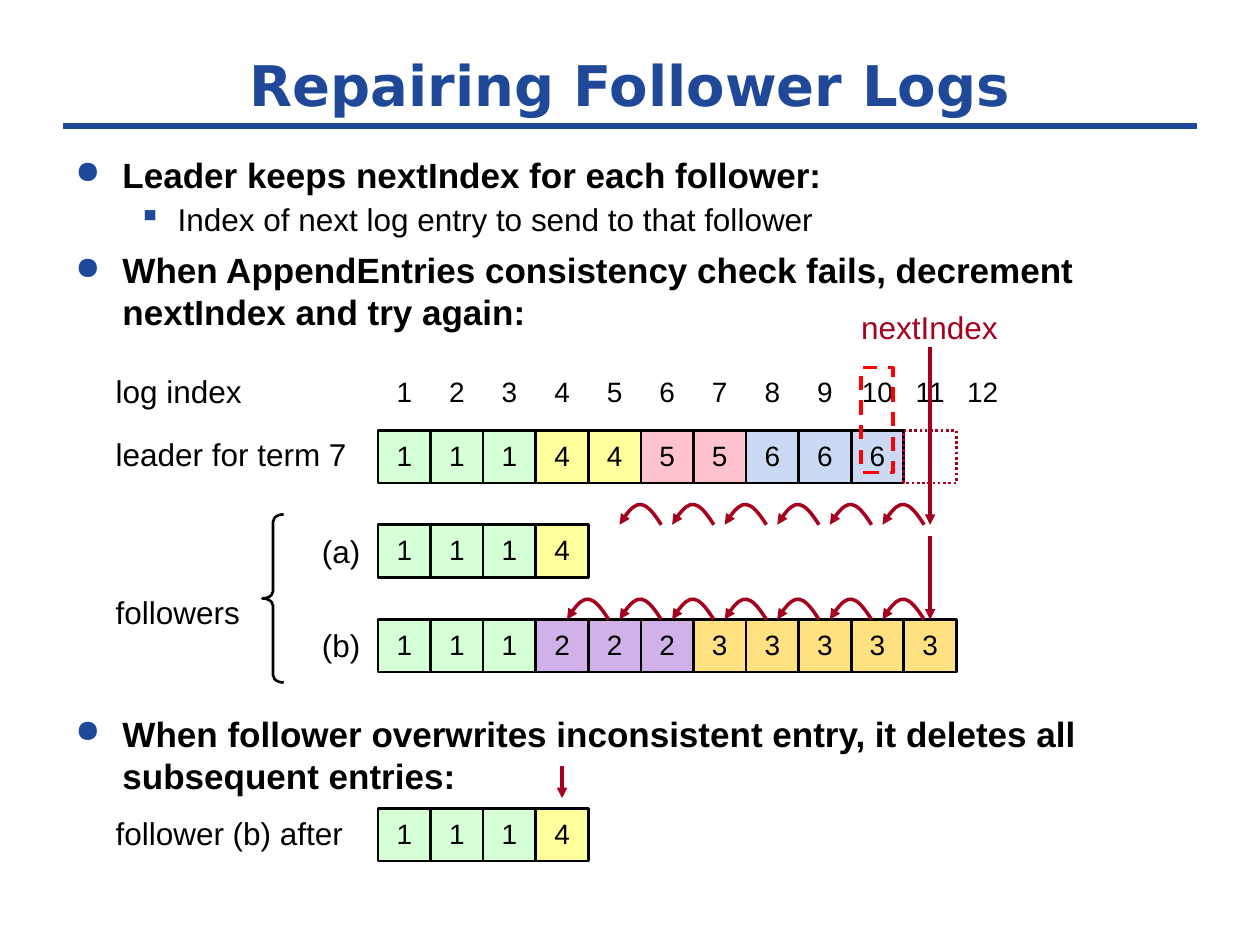
from dataclasses import dataclass

from lxml.etree import SubElement
from pptx import Presentation
from pptx.dml.color import RGBColor
from pptx.enum.dml import MSO_LINE
from pptx.enum.shapes import MSO_CONNECTOR, MSO_SHAPE
from pptx.enum.text import MSO_ANCHOR, PP_ALIGN
from pptx.oxml.ns import qn
from pptx.util import Cm, Pt

BLACK = RGBColor(0x00, 0x00, 0x00)
BLUE = RGBColor(0x1F, 0x48, 0x99)
CRIMSON = RGBColor(0xA5, 0x00, 0x1E)
RED = RGBColor(0xFF, 0x00, 0x00)
TERM_COLORS = {
    1: RGBColor(0xD5, 0xFF, 0xD5),
    2: RGBColor(0xD1, 0xB2, 0xE8),
    3: RGBColor(0xFF, 0xE1, 0x81),
    4: RGBColor(0xFF, 0xFF, 0x9B),
    5: RGBColor(0xFF, 0xC3, 0xCE),
    6: RGBColor(0xCC, 0xD9, 0xF4),
}

# Log grid, in centimetres
GRID_LEFT = 7.62
CELL = 1.06
LABEL_LEFT = 2.33
LEADER_TOP, FOLLOWER_A_TOP, FOLLOWER_B_TOP, AFTER_TOP = 8.68, 10.58, 12.49, 16.3
NEXT_CELL = 10


@dataclass
class Log:
    top: float
    terms: list[int]


@dataclass
class Label:
    text: str
    left: float
    top: float
    width: float
    color: RGBColor = BLACK
    align: PP_ALIGN = PP_ALIGN.LEFT
    line_spacing: Pt | None = Pt(19)
    wrap: bool = True


@dataclass
class Bullet:
    text: str
    level: int = 0
    space_before: float = 6


@dataclass
class BulletStyle:
    character: str
    percent: int
    margin: float
    hanging: float
    size: float
    bold: bool


LOGS = [
    Log(LEADER_TOP, [1, 1, 1, 4, 4, 5, 5, 6, 6, 6]),
    Log(FOLLOWER_A_TOP, [1, 1, 1, 4]),
    Log(FOLLOWER_B_TOP, [1, 1, 1, 2, 2, 2, 3, 3, 3, 3, 3]),
    Log(AFTER_TOP, [1, 1, 1, 4]),
]
LABELS = [
    Label("log index", LABEL_LEFT, 7.49, 3.18, line_spacing=None),
    Label("leader for term 7", LABEL_LEFT, 8.86, 5.08),
    Label("followers", LABEL_LEFT, 12.04, 2.54, wrap=False),
    Label("(a)", 6.35, 10.72, 1.06, align=PP_ALIGN.CENTER, line_spacing=None),
    Label("(b)", 6.35, 12.62, 1.06, align=PP_ALIGN.CENTER, line_spacing=None),
    Label("nextIndex", 17.36, 6.3, 2.77, color=CRIMSON, wrap=False),
    Label("follower (b) after", LABEL_LEFT, 16.51, 4.62, wrap=False),
]
# The last bullet stands below the diagram
BULLETS = [
    Bullet("Leader keeps nextIndex for each follower:"),
    Bullet("Index of next log entry to send to that follower", 1, 3),
    Bullet("When AppendEntries consistency check fails, decrement "
           "nextIndex and try again:"),
    Bullet("When follower overwrites inconsistent entry, it deletes all "
           "subsequent entries:", space_before=217),
]
BULLET_STYLES = [
    BulletStyle("●", 90, 0.95, 0.95, 20, True),
    BulletStyle("▪", 100, 2.06, 0.79, 18, False),
]

presentation = Presentation()
presentation.slide_width, presentation.slide_height = Cm(25.4), Cm(19.05)
slide = presentation.slides.add_slide(presentation.slide_layouts[6])
shapes = slide.shapes


def cell_left(index: int) -> float:
    return GRID_LEFT + index * CELL


def write(paragraph, text: str, *, size: float = 18, color: RGBColor = BLACK,
          bold: bool = False, font: str = "Arial", align=PP_ALIGN.LEFT,
          line_spacing=None) -> None:
    paragraph.alignment = align
    paragraph.line_spacing = line_spacing
    run = paragraph.add_run()
    run.text = text
    run.font.size, run.font.bold, run.font.name = Pt(size), bold, font
    run.font.color.rgb = color


def clear_margins(frame) -> None:
    frame.margin_left = frame.margin_right = 0
    frame.margin_top = frame.margin_bottom = 0


def add_text_frame(left: float, top: float, width: float, height: float):
    frame = shapes.add_textbox(Cm(left), Cm(top), Cm(width), Cm(height)).text_frame
    frame.word_wrap = True
    return frame


def style_outline(shape, color: RGBColor, width: float, dash=None) -> None:
    shape.shadow.inherit = False
    shape.fill.background()
    shape.line.color.rgb = color
    shape.line.width = Pt(width)
    if dash:
        shape.line.dash_style = dash


def add_outline(kind, left: float, top: float, width: float, height: float,
                color: RGBColor, line_width: float, dash=None):
    shape = shapes.add_shape(kind, Cm(left), Cm(top), Cm(width), Cm(height))
    style_outline(shape, color, line_width, dash)
    return shape


def add_arrowhead(shape) -> None:
    SubElement(shape.line._get_or_add_ln(), qn("a:tailEnd"), type="triangle")


def add_line(x1: float, y1: float, x2: float, y2: float,
             color: RGBColor, width: float):
    line = shapes.add_connector(MSO_CONNECTOR.STRAIGHT, Cm(x1), Cm(y1), Cm(x2), Cm(y2))
    line.line.color.rgb = color
    line.line.width = Pt(width)
    SubElement(line._element.spPr, qn("a:effectLst"))
    return line


def add_down_arrow(index: int, top: float, bottom: float) -> None:
    center = cell_left(index) + CELL / 2
    add_arrowhead(add_line(center, top, center, bottom, CRIMSON, 2))


def add_step_back(index: int, bottom: float) -> None:
    """Curved arrow that ends over the given cell."""
    left, width, height = cell_left(index) + 0.63, 0.84, 0.38
    builder = shapes.build_freeform(Cm(left + width), Cm(bottom))
    builder.add_line_segments([(Cm(left + width / 2), Cm(bottom - height)),
                               (Cm(left), Cm(bottom))], close=False)
    arc = builder.convert_to_shape()
    outline = arc._element.spPr.find(".//" + qn("a:path"))
    for segment in outline.findall(qn("a:lnTo")):
        outline.remove(segment)
    curve = SubElement(outline, qn("a:cubicBezTo"))
    for x, y in [(0.51, -0.15), (0.3, -0.13), (0, height)]:
        SubElement(curve, qn("a:pt"), x=str(Cm(x)), y=str(Cm(y)))
    style_outline(arc, CRIMSON, 2)
    add_arrowhead(arc)


def add_bullet(paragraph, bullet: Bullet) -> None:
    style = BULLET_STYLES[bullet.level]
    write(paragraph, bullet.text, size=style.size, bold=style.bold)
    paragraph.level = bullet.level
    paragraph.space_before = Pt(bullet.space_before)
    properties = paragraph._p.get_or_add_pPr()
    properties.set("marL", str(Cm(style.margin)))
    properties.set("indent", str(-Cm(style.hanging)))
    SubElement(SubElement(properties, qn("a:buClr")), qn("a:srgbClr"), val=str(BLUE))
    SubElement(properties, qn("a:buSzPct"), val=str(style.percent * 1000))
    SubElement(properties, qn("a:buChar"), char=style.character)


# Title and rule
add_line(1.27, 2.54, 24.13, 2.54, BLUE, 4)
title = add_text_frame(1.27, 0.85, 22.86, 1.69)
title.vertical_anchor = MSO_ANCHOR.MIDDLE
write(title.paragraphs[0], "Repairing Follower Logs", size=32, color=BLUE,
      bold=True, font="DejaVu Sans", align=PP_ALIGN.CENTER)

# Bullets
body = add_text_frame(1.27, 2.96, 22.86, 14.82)
for number, bullet in enumerate(BULLETS):
    add_bullet(body.add_paragraph() if number else body.paragraphs[0], bullet)

# Log entries
for log in LOGS:
    for index, term in enumerate(log.terms):
        cell = add_outline(MSO_SHAPE.RECTANGLE, cell_left(index), log.top,
                           CELL, CELL, BLACK, 1.5)
        cell.fill.solid()
        cell.fill.fore_color.rgb = TERM_COLORS[term]
        clear_margins(cell.text_frame)
        cell.text_frame.vertical_anchor = MSO_ANCHOR.MIDDLE
        write(cell.text_frame.paragraphs[0], str(term), size=16,
              align=PP_ALIGN.CENTER, line_spacing=Pt(17))

# Log indexes
for index in range(12):
    width = CELL if index < 9 else 1.48
    frame = add_text_frame(cell_left(index) + (CELL - width) / 2, 7.42, width, 0.94)
    write(frame.paragraphs[0], str(index + 1), size=16, align=PP_ALIGN.CENTER)

# Labels and brace
for label in LABELS:
    frame = add_text_frame(label.left, label.top, label.width, 0.7)
    frame.word_wrap = label.wrap
    clear_margins(frame)
    write(frame.paragraphs[0], label.text, color=label.color, align=label.align,
          line_spacing=label.line_spacing)
brace = add_outline(MSO_SHAPE.LEFT_BRACE, 5.29, 10.37, 0.43, 3.39, BLACK, 1.5)
brace.adjustments[0] = 0.34

# nextIndex arrows and its steps back
for first, bottom in [(4, FOLLOWER_A_TOP), (3, FOLLOWER_B_TOP)]:
    for index in range(first, NEXT_CELL):
        add_step_back(index, bottom)
add_down_arrow(NEXT_CELL, 6.99, FOLLOWER_A_TOP)
add_down_arrow(NEXT_CELL, 10.8, FOLLOWER_B_TOP)
add_down_arrow(3, 15.45, 16.09)

# Dashed frames
add_outline(MSO_SHAPE.RECTANGLE, cell_left(NEXT_CELL), LEADER_TOP, CELL, CELL,
            CRIMSON, 1.5, MSO_LINE.ROUND_DOT)
add_outline(MSO_SHAPE.RECTANGLE, 17.36, 7.41, 0.64, 2.12, RED, 2, MSO_LINE.DASH)

presentation.save("out.pptx")
